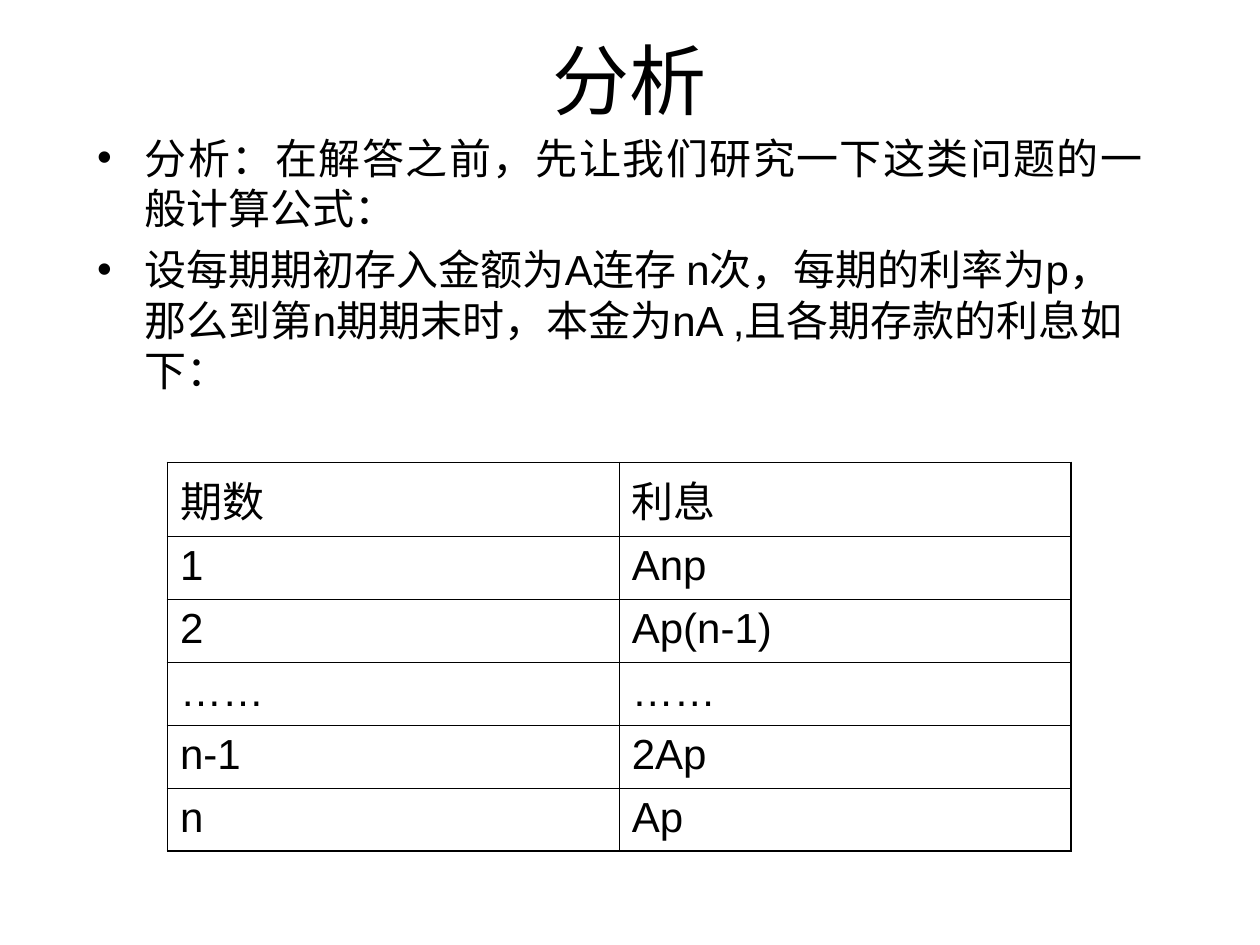
from dataclasses import dataclass

from lxml.etree import SubElement
from pptx import Presentation
from pptx.dml.color import RGBColor
from pptx.enum.text import MSO_ANCHOR as Anchor, MSO_AUTO_SIZE as AutoSize, PP_ALIGN as Align
from pptx.oxml.ns import qn
from pptx.util import Inches, Pt


@dataclass
class Theme:
    font: str = "Arial"
    ink: str = "000000"
    title: int = 44
    text: int = 24
    outer: float = 1.08
    inner: float = 0.45


theme = Theme()


def write(p, text, size=theme.text, align=Align.LEFT, before=0, bullet=False):
    p.alignment = align
    p.space_before = Pt(before)
    if bullet:
        pPr = p._p.get_or_add_pPr()
        pPr.set("marL", str(Inches(0.38)))
        pPr.set("indent", str(-Inches(0.38)))
        SubElement(pPr, qn("a:buChar"), char="•")
    r = p.add_run()
    r.text = text
    r.font.name = theme.font
    r.font.size = Pt(size)
    r.font.color.rgb = RGBColor.from_string(theme.ink)


def border(cell, side, width):
    ln = SubElement(cell._tc.get_or_add_tcPr(), qn(f"a:ln{side}"), w=str(Pt(width)))
    fill = SubElement(ln, qn("a:solidFill"))
    SubElement(fill, qn("a:srgbClr"), val=theme.ink)


prs = Presentation()
prs.slide_width, prs.slide_height = Inches(10), Inches(7.5)
s = prs.slides.add_slide(prs.slide_layouts[1])

title, body = s.placeholders
title.left, title.top, title.width, title.height = Inches(0.75), Inches(0), Inches(8.5), Inches(1.25)
title.text_frame.vertical_anchor = Anchor.MIDDLE
title.text_frame.auto_size = AutoSize.NONE
write(title.text_frame.paragraphs[0], "分析", size=theme.title, align=Align.CENTER)

body.left, body.top, body.width, body.height = Inches(0.67), Inches(1), Inches(8.5), Inches(4.5)
tf = body.text_frame
tf.auto_size = AutoSize.NONE
write(tf.paragraphs[0], "分析：在解答之前，先让我们研究一下这类问题的一般计算公式：",
      align=Align.JUSTIFY, bullet=True)
write(tf.add_paragraph(),
      "设每期期初存入金额为A连存 n次，每期的利率为p，那么到第n期期末时，本金为nA ,且各期存款的利息如下：",
      before=6, bullet=True)

rows = [
    ("期数", "利息"),
    ("1", "Anp"),
    ("2", "Ap(n-1)"),
    ("……", "……"),
    ("n-1", "2Ap"),
    ("n", "Ap"),
]
frame = s.shapes.add_table(len(rows), 2, Inches(1.33), Inches(3.67), Inches(7.17), Inches(3))
table = frame.table
table.first_row = table.horz_banding = False
for i, row in enumerate(rows):
    table.rows[i].height = Inches(0.5)
    for j, text in enumerate(row):
        cell = table.cell(i, j)
        write(cell.text_frame.paragraphs[0], text, align=Align.JUSTIFY)
        edges = {"L": j == 0, "R": j == 1, "T": i == 0, "B": i == len(rows) - 1}
        for side, is_outer in edges.items():
            border(cell, side, theme.outer if is_outer else theme.inner)
        cell.fill.background()

prs.save("out.pptx")
